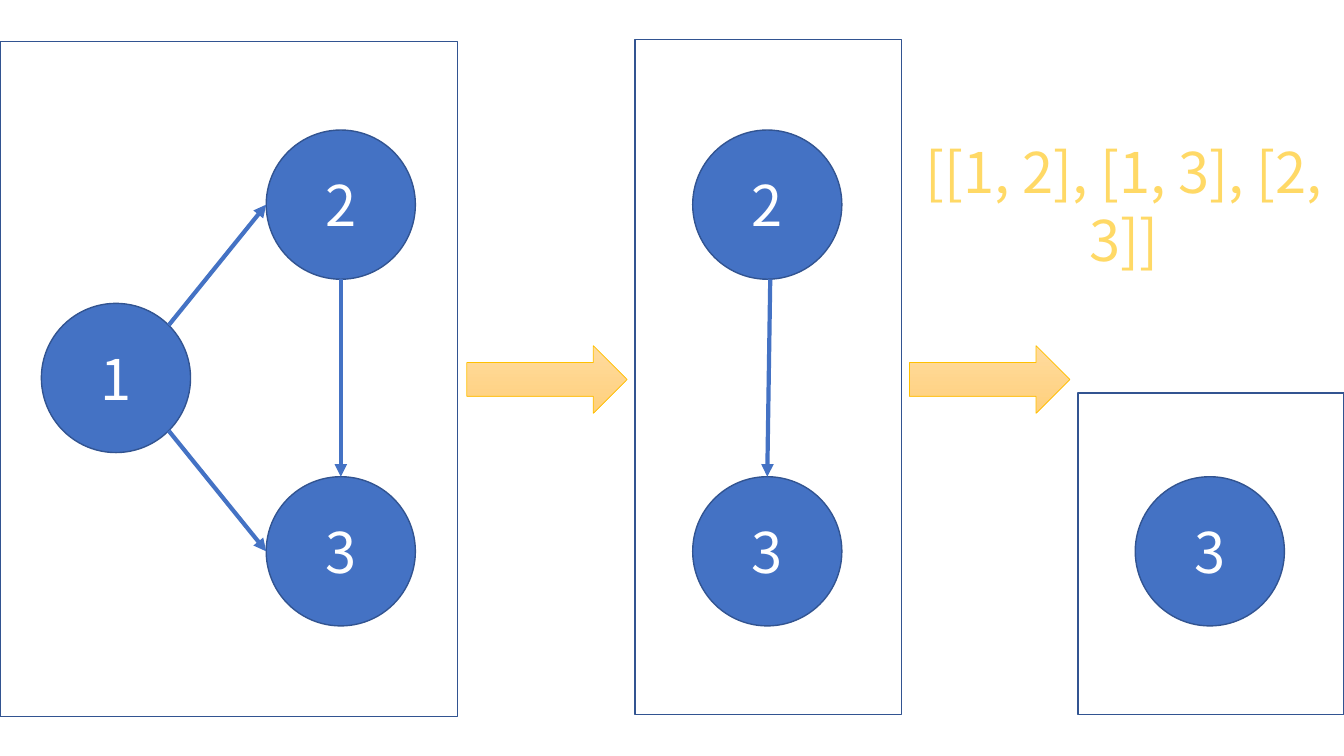
import math

import pptx
import pptx.dml.color
import pptx.enum.shapes
import pptx.enum.text
import pptx.oxml
import pptx.oxml.ns
import pptx.util

SHAPE = pptx.enum.shapes.MSO_SHAPE
CENTER = pptx.enum.text.PP_ALIGN.CENTER
MIDDLE = pptx.enum.text.MSO_ANCHOR.MIDDLE
WIDTH, HEIGHT = pptx.util.Inches(13.33), pptx.util.Inches(7.5)
COLORS = {"node": "4472C4", "outline": "325491", "label": "FFFFFF",
          "edges": "FFD966", "step": "FFC000",
          "step_top": "FFDB9E", "step_bottom": "FFD07C"}
FONT = {"name": "Noto Sans CJK SC", "size": pptx.util.Pt(40)}

# Positions and sizes are percentages of the slide's width and height.
RADIUS = (5.55, 9.87)
COLUMNS = {"first": 8.63, "second": 25.36, "middle": 57.09, "last": 90.02}
ROWS = {"upper": 27.07, "centre": 50, "lower": 72.93}
FRAMES = [(0, 5.47, 34.06, 89.33), (47.26, 5.2, 19.8, 89.33), (80.2, 52, 19.8, 42.53)]
STEPS = [34.73, 67.67]
NODES = [("1", "first", "centre"), ("2", "second", "upper"), ("3", "second", "lower"),
         ("2", "middle", "upper"), ("3", "middle", "lower"), ("3", "last", "lower")]
DIAGONAL = math.sqrt(0.5)
LEFT, TOP, BOTTOM = (-1, 0), (0, -1), (0, 1)
EDGES = [(0, (DIAGONAL, -DIAGONAL), 1, LEFT), (0, (DIAGONAL, DIAGONAL), 2, LEFT),
         (1, BOTTOM, 2, TOP), (3, (0.04, 1), 4, TOP)]


def rgb(key):
    return pptx.dml.color.RGBColor.from_string(COLORS[key])


def share(*values):
    return [round((HEIGHT if i % 2 else WIDTH) * v / 100) for i, v in enumerate(values)]


def set_line(sp, color, width):
    sp.line.color.rgb = rgb(color)
    sp.line.width = pptx.util.Pt(width)


def add_shape(slide, kind, box, color, width):
    sp = slide.shapes.add_shape(kind, *share(*box))
    sp.shadow.inherit = False
    set_line(sp, color, width)
    return sp


def write(sp, text, color):
    tf = sp.text_frame
    p = tf.paragraphs[0]
    p.alignment = CENTER
    r = p.add_run()
    r.text = text
    for name, value in FONT.items():
        setattr(r.font, name, value)
    r.font.color.rgb = rgb(color)
    return tf


def add_node(slide, text, column, row):
    x, y = COLUMNS[column], ROWS[row]
    rx, ry = RADIUS
    sp = add_shape(slide, SHAPE.OVAL, (x - rx, y - ry, 2 * rx, 2 * ry), "outline", 1)
    sp.fill.solid()
    sp.fill.fore_color.rgb = rgb("node")
    write(sp, text, "label").vertical_anchor = MIDDLE


def rim(node, direction):
    text, column, row = NODES[node]
    return share(COLUMNS[column] + direction[0] * RADIUS[0],
                 ROWS[row] + direction[1] * RADIUS[1])


def add_edge(slide, start, leave, end, enter):
    sp = slide.shapes.add_connector(pptx.enum.shapes.MSO_CONNECTOR.STRAIGHT,
                                    *rim(start, leave), *rim(end, enter))
    set_line(sp, "node", 3)
    ln = sp.line._get_or_add_ln()
    tail = pptx.oxml.parse_xml(
        "<a:tailEnd %s type='triangle'/>" % pptx.oxml.ns.nsdecls("a"))
    ln.append(tail)
    sp._element.spPr.append(pptx.oxml.parse_xml(
        "<a:effectLst %s/>" % pptx.oxml.ns.nsdecls("a")))


def add_frame(slide, box):
    add_shape(slide, SHAPE.RECTANGLE, box, "outline", 1).fill.background()


def add_step(slide, x):
    sp = add_shape(slide, SHAPE.RIGHT_ARROW, (x, 45.73, 11.93, 8.93), "step", 0.5)
    sp.fill.gradient()
    sp.fill.gradient_angle = 270
    for stop, key in zip(sp.fill.gradient_stops, ("step_top", "step_bottom")):
        stop.color.rgb = rgb(key)


def add_edge_list(slide):
    sp = slide.shapes.add_textbox(*share(66.09, 17.6, 35.03, 10.27))
    tf = write(sp, "[[1, 2], [1, 3], [2, 3]]", "edges")
    tf.word_wrap = True
    tf.paragraphs[0].line_spacing = pptx.util.Pt(48)


def main():
    prs = pptx.Presentation()
    prs.slide_width, prs.slide_height = WIDTH, HEIGHT
    slide = prs.slides.add_slide(prs.slide_layouts[6])
    for box in FRAMES:
        add_frame(slide, box)
    for node in NODES:
        add_node(slide, *node)
    for edge in EDGES:
        add_edge(slide, *edge)
    for x in STEPS:
        add_step(slide, x)
    add_edge_list(slide)
    prs.save("out.pptx")


main()
